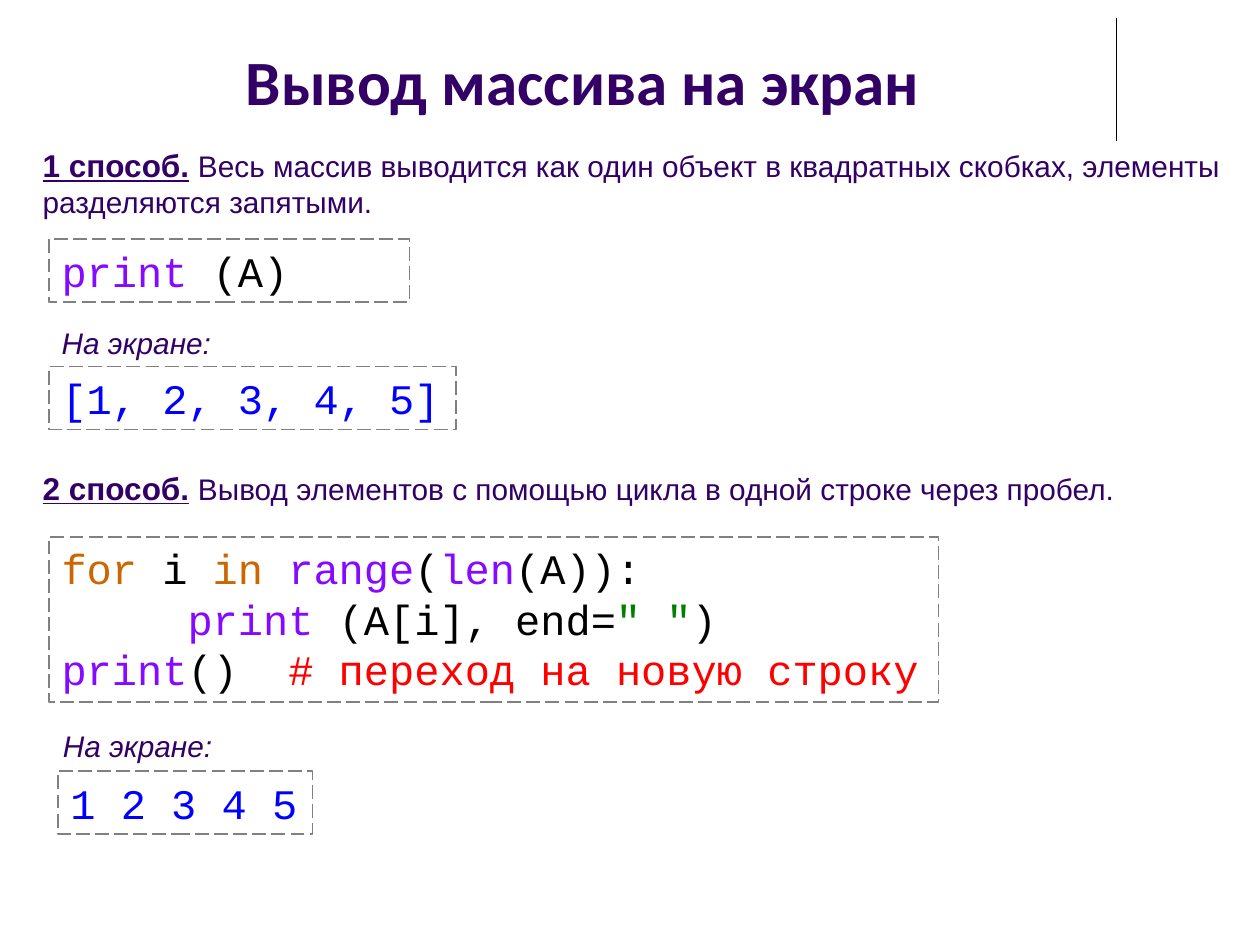
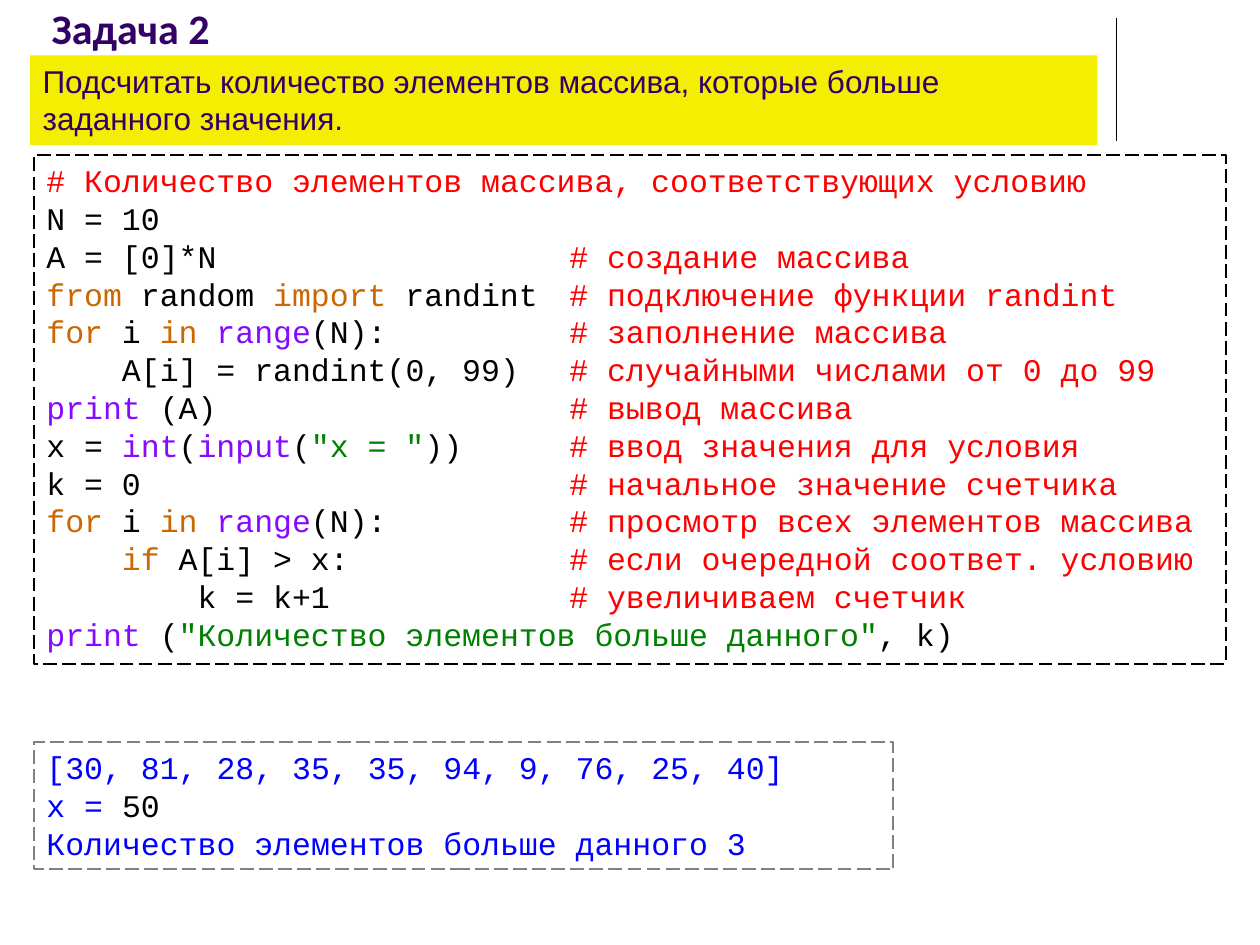
from itertools import groupby

from lxml.etree import SubElement
from pptx import Presentation
from pptx.dml.color import RGBColor
from pptx.enum.dml import MSO_LINE
from pptx.enum.shapes import MSO_CONNECTOR, MSO_SHAPE
from pptx.enum.text import MSO_ANCHOR, MSO_AUTO_SIZE, PP_ALIGN
from pptx.oxml.ns import qn
from pptx.util import Inches, Pt

COLORS = {
    "ink": "330066",
    "black": "000000",
    "white": "FFFFFF",
    "frame": "808080",
    "task": "F4EE00",
    "keyword": "CC6600",
    "builtin": "850AFF",
    "string": "008000",
    "comment": "FF0000",
    "output": "0000FF",
}
KEYWORDS = {"for", "in", "if", "from", "import"}
BUILTINS = {"print", "range", "len", "int", "input"}

PRINT_LOOP = """\
for i in range(len(A)):
\tprint (A[i], end=" ")
print()  # переход на новую строку"""

COUNT_PROGRAM = """\
# Количество элементов массива, соответствующих условию
N = 10
A = [0]*N\t# создание массива
from random import randint\t# подключение функции randint
for i in range(N):\t# заполнение массива
    A[i] = randint(0, 99)\t# случайными числами от 0 до 99
print (A)\t# вывод массива
x = int(input("x = "))\t# ввод значения для условия
k = 0\t# начальное значение счетчика
for i in range(N):\t# просмотр всех элементов массива
    if A[i] > x:\t# если очередной соответ. условию
        k = k+1\t# увеличиваем счетчик
print ("Количество элементов больше данного", k)"""


def rgb(name):
    return RGBColor.from_string(COLORS[name])


def add_span(para, text, font="Arial", size=17, color="ink",
             bold=False, italic=False, underline=False):
    """Append one formatted run to a paragraph."""
    span = para.add_run()
    span.text = text
    span.font.name = font
    span.font.size = Pt(size)
    span.font.color.rgb = rgb(color)
    span.font.bold = bold
    span.font.italic = italic
    span.font.underline = underline


def highlight(line):
    """Split a line of Python into (text, color name) pairs."""
    code, mark, comment = line.partition("#")
    tokens = []
    for index, part in enumerate(code.split('"')):
        if index % 2:
            tokens.append((f'"{part}"', "string"))
            continue
        for _, letters in groupby(part, str.isalnum):
            word = "".join(letters)
            color = ("keyword" if word in KEYWORDS
                     else "builtin" if word in BUILTINS else "black")
            tokens.append((word, color))
    tokens.append((mark + comment, "comment"))
    for color, group in groupby(tokens, key=lambda token: token[1]):
        text = "".join(token[0] for token in group)
        if text:
            yield text, color


class LessonDeck:
    def __init__(self):
        self.deck = Presentation()
        self.deck.slide_width = Inches(10)
        self.deck.slide_height = Inches(7.5)
        self.layout = self.deck.slide_layouts[5]
        self.page = None

    def add_page(self, title, left, top, width, height, size, align):
        self.page = self.deck.slides.add_slide(self.layout)
        box = self.page.shapes.title
        self.place(box, left, top, width, height)
        frame = box.text_frame
        frame.auto_size = MSO_AUTO_SIZE.NONE
        frame.vertical_anchor = MSO_ANCHOR.BOTTOM
        frame.paragraphs[0].alignment = align
        add_span(frame.paragraphs[0], title, font="Calibri", size=size, bold=True)

    def place(self, box, left, top, width, height):
        box.left, box.top = Inches(left), Inches(top)
        box.width, box.height = Inches(width), Inches(height)

    def add_layout_rule(self):
        """Draw the vertical rule once, on the layout that all pages share."""
        rule = self.page.shapes.add_connector(
            MSO_CONNECTOR.STRAIGHT, Inches(8.86), Inches(0.14), Inches(8.86), Inches(1.12))
        rule.line.color.rgb = rgb("black")
        rule.line.width = Pt(0.75)
        SubElement(rule._element.spPr, qn("a:effectLst"))
        self.layout.shapes._spTree.append(rule._element)

    def prepare(self, box, wrap=True):
        frame = box.text_frame
        frame.word_wrap = wrap
        frame.auto_size = MSO_AUTO_SIZE.SHAPE_TO_FIT_TEXT
        frame.vertical_anchor = MSO_ANCHOR.TOP
        return frame

    def next_para(self, frame, first):
        para = frame.paragraphs[0] if first else frame.add_paragraph()
        para.alignment = PP_ALIGN.LEFT
        return para

    def add_text(self, left, top, width, height):
        box = self.page.shapes.add_textbox(
            Inches(left), Inches(top), Inches(width), Inches(height))
        return self.next_para(self.prepare(box), True)

    def add_method(self, top, height, label, text):
        para = self.add_text(0.24, top, 9.58, height)
        add_span(para, label, size=18, bold=True, underline=True)
        add_span(para, " ", size=18)
        add_span(para, text)

    def add_caption(self, left, top):
        add_span(self.add_text(left, top, 1.45, 0.39), "На экране:", italic=True)

    def add_panel(self, left, top, width, height, fill=None, line=None, wrap=True):
        panel = self.page.shapes.add_shape(
            MSO_SHAPE.RECTANGLE, Inches(left), Inches(top), Inches(width), Inches(height))
        panel.shadow.inherit = False
        if fill:
            panel.fill.solid()
            panel.fill.fore_color.rgb = rgb(fill)
        else:
            panel.fill.background()
        if line:
            panel.line.color.rgb = rgb(line)
            panel.line.width = Pt(1)
            panel.line.dash_style = MSO_LINE.LONG_DASH
        else:
            panel.line.fill.background()
        return self.prepare(panel, wrap)

    def add_task(self, left, top, width, height, text):
        frame = self.add_panel(left, top, width, height, fill="task")
        add_span(self.next_para(frame, True), text, size=18)

    def add_code(self, left, top, width, height, source, size=24,
                 line="frame", right_inset=0.04, tab_stop=1):
        frame = self.add_panel(left, top, width, height, fill="white", line=line)
        frame.margin_right = Inches(right_inset)
        for number, text in enumerate(source.splitlines()):
            para = self.next_para(frame, number == 0)
            stops = SubElement(para._p.get_or_add_pPr(), qn("a:tabLst"))
            SubElement(stops, qn("a:tab"), pos=str(Inches(tab_stop)), algn="l")
            for piece, color in highlight(text):
                add_span(para, piece, font="Courier New", size=size, color=color)

    def add_output(self, left, top, width, height, lines, size=24, wrap=False):
        """Each line is a list of (text, color name) pairs."""
        frame = self.add_panel(left, top, width, height, line="frame", wrap=wrap)
        for number, pieces in enumerate(lines):
            para = self.next_para(frame, number == 0)
            for text, color in pieces:
                add_span(para, text, font="Courier New", size=size, color=color)


def build_printing_page(lesson):
    lesson.add_page("Вывод массива на экран", 0.5, 0.13, 8.25, 0.86, 36, PP_ALIGN.CENTER)
    lesson.add_layout_rule()

    # First method: the whole list at once
    lesson.add_method(1.11, 0.69, "1 способ.",
                      "Весь массив выводится как один объект в квадратных скобках, "
                      "элементы разделяются запятыми.")
    lesson.add_code(0.39, 1.9, 2.86, 0.5, "print (A)")
    lesson.add_caption(0.39, 2.53)
    lesson.add_output(0.39, 2.91, 3.23, 0.5, [[("[1, 2, 3, 4, 5]", "output")]])

    # Second method: a loop
    lesson.add_method(3.67, 0.4, "2 способ.",
                      "Вывод элементов с помощью цикла в одной строке через пробел.")
    lesson.add_code(0.39, 4.26, 7.06, 1.31, PRINT_LOOP)
    lesson.add_caption(0.4, 5.73)
    lesson.add_output(0.46, 6.12, 2.02, 0.5, [[("1 2 3 4 5", "output")]])


def build_counting_page(lesson):
    lesson.add_page("Задача 2", 0.31, 0, 8.25, 0.47, 24, PP_ALIGN.LEFT)
    lesson.add_task(0.24, 0.44, 8.47, 0.71,
                    "Подсчитать количество элементов массива, "
                    "которые больше заданного значения.")

    # Program and its result
    lesson.add_code(0.27, 1.23, 9.46, 4.04, COUNT_PROGRAM, size=18,
                    line="black", right_inset=0.1, tab_stop=4.15)
    lesson.add_output(0.27, 5.89, 6.82, 1.01, [
        [("[30, 81, 28, 35, 35, 94, 9, 76, 25, 40]", "output")],
        [("x = ", "output"), ("50", "black")],
        [("Количество элементов больше данного 3", "output")],
    ], size=18, wrap=True)


def main():
    lesson = LessonDeck()
    build_printing_page(lesson)
    build_counting_page(lesson)
    lesson.deck.save("out.pptx")


if __name__ == "__main__":
    main()
